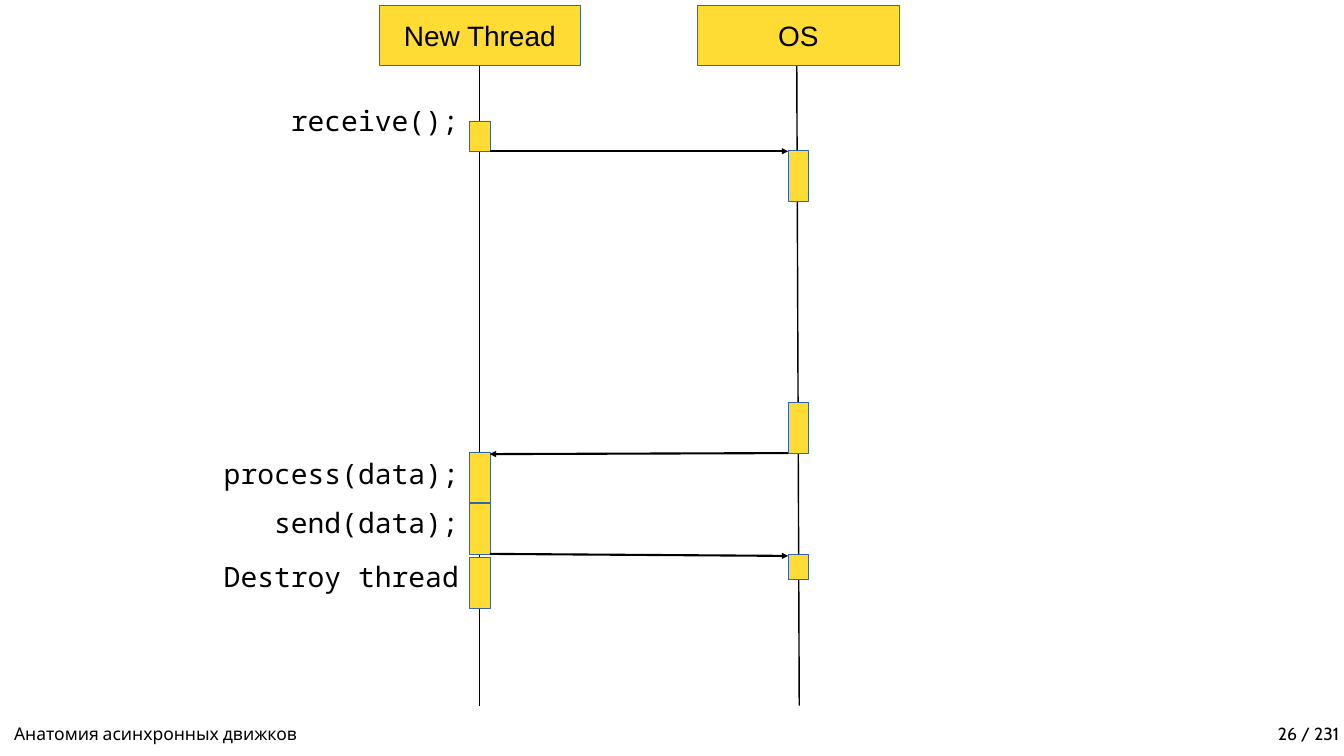
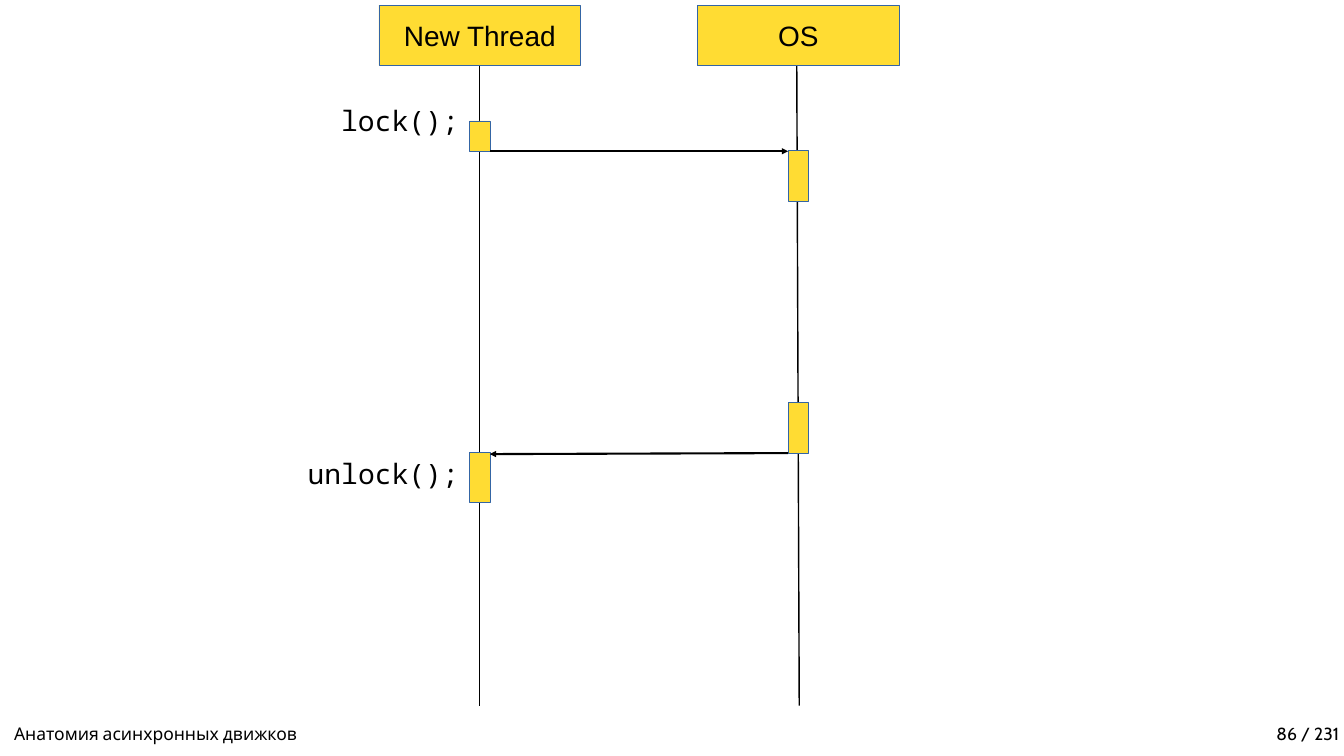
import lxml.etree
import pptx
import pptx.dml.color
import pptx.enum.shapes
import pptx.enum.text
import pptx.oxml.ns
import pptx.util

PX = 9144
COLORS = {"ink": "000000", "bar": "FFDC33", "border": "3465A4", "paper": "FFFFFF"}
ALIGN = pptx.enum.text.PP_ALIGN
ANCHOR = pptx.enum.text.MSO_ANCHOR
TALK = "Анатомия асинхронных движков"
TOTAL = 231
THREAD_X, OS_X = 932, 1564
BAR_WIDTH = 40

REQUEST_BARS = [(THREAD_X, 240, 60), (OS_X, 299, 100), (OS_X, 799, 100), (THREAD_X, 897, 100)]
REPLY_BARS = [(THREAD_X, 999, 100), (OS_X, 1100, 50), (THREAD_X, 1106, 100)]
REQUEST_ARROWS = [(THREAD_X + BAR_WIDTH, 300, OS_X, 300), (OS_X, 899, THREAD_X + BAR_WIDTH, 901)]
REPLY_ARROWS = [(THREAD_X + BAR_WIDTH, 1099, OS_X, 1103)]

PAGES = [
    (26, REQUEST_BARS + REPLY_BARS, REQUEST_ARROWS + REPLY_ARROWS,
     [("receive();", 200), ("process(data);", 901), ("send(data);", 999), ("Destroy thread", 1106)]),
    (86, REQUEST_BARS, REQUEST_ARROWS, [("lock();", 200), ("unlock();", 901)]),
]


def px(*lengths):
    """Turn px lengths into EMU."""
    return [pptx.util.Emu(length * PX) for length in lengths]


def color(name):
    """Look up a colour by its role."""
    return pptx.dml.color.RGBColor.from_string(COLORS[name])


def write(frame, text, font, size, align):
    """Write one line of text into a frame and return its paragraph."""
    paragraph = frame.paragraphs[0]
    paragraph.alignment = align
    run = paragraph.add_run()
    run.text = text
    run.font.name = font
    run.font.size = pptx.util.Pt(size)
    run.font.color.rgb = color("ink")
    return paragraph


def add_label(slide, box, text, font, size, align, anchor=ANCHOR.TOP):
    """Add a wrapped text box and return its paragraph."""
    frame = slide.shapes.add_textbox(*px(*box)).text_frame
    frame.word_wrap = True
    frame.vertical_anchor = anchor
    return write(frame, text, font, size, align)


def add_block(slide, *box):
    """Add a yellow rectangle with a hairline border."""
    block = slide.shapes.add_shape(pptx.enum.shapes.MSO_SHAPE.RECTANGLE, *px(*box))
    block.shadow.inherit = False
    block.fill.solid()
    block.fill.fore_color.rgb = color("bar")
    block.line.color.rgb = color("border")
    block.line.width = 0
    return block


def add_participant(slide, left, name):
    """Add the named head of a lifeline."""
    frame = add_block(slide, left, 10, 400, 120).text_frame
    frame.word_wrap = False
    frame.vertical_anchor = ANCHOR.MIDDLE
    write(frame, name, "Arial", 40, ALIGN.CENTER)


def add_line(slide, ends, width=0, arrow=False):
    """Add a straight line, with an arrowhead at its end if asked."""
    line = slide.shapes.add_connector(pptx.enum.shapes.MSO_CONNECTOR.STRAIGHT, *px(*ends))
    line.line.color.rgb = color("ink")
    line.line.width = pptx.util.Pt(width)
    qn = pptx.oxml.ns.qn
    properties = line.element.spPr
    if arrow:
        lxml.etree.SubElement(properties.find(qn("a:ln")), qn("a:tailEnd"), type="triangle")
    lxml.etree.SubElement(properties, qn("a:effectLst"))


def add_footer(slide, number):
    """Add the talk title and the page count."""
    for left, text, align in ((18, TALK, ALIGN.LEFT), (1532, f"{number} / {TOTAL}", ALIGN.RIGHT)):
        paragraph = add_label(slide, (left, 1425, 1135, 56), text, "Cabin", 25, align, ANCHOR.BOTTOM)
        paragraph.line_spacing = 0.9


def add_sequence(slide, bars, arrows, calls):
    """Draw the sequence diagram of the thread and the OS."""
    for lifeline in ((952, 30, 952, 1400), (1581, 100, 1586, 1400)):
        add_line(slide, lifeline)
    add_participant(slide, 752, "New Thread")
    add_participant(slide, 1384, "OS")
    for left, top, height in bars:
        add_block(slide, left, top, BAR_WIDTH, height)
    for arrow in arrows:
        add_line(slide, arrow, 3, True)
    for call, top in calls:
        add_label(slide, (300, top, 620, 100), call, "Noto Sans Mono", 40, ALIGN.RIGHT)


def main():
    """Build the slides and save them."""
    deck = pptx.Presentation()
    deck.slide_width, deck.slide_height = px(2667, 1500)
    for number, bars, arrows, calls in PAGES:
        slide = deck.slides.add_slide(deck.slide_layouts[6])
        slide.background.fill.solid()
        slide.background.fill.fore_color.rgb = color("paper")
        add_sequence(slide, bars, arrows, calls)
        add_footer(slide, number)
    deck.save("out.pptx")


if __name__ == "__main__":
    main()
